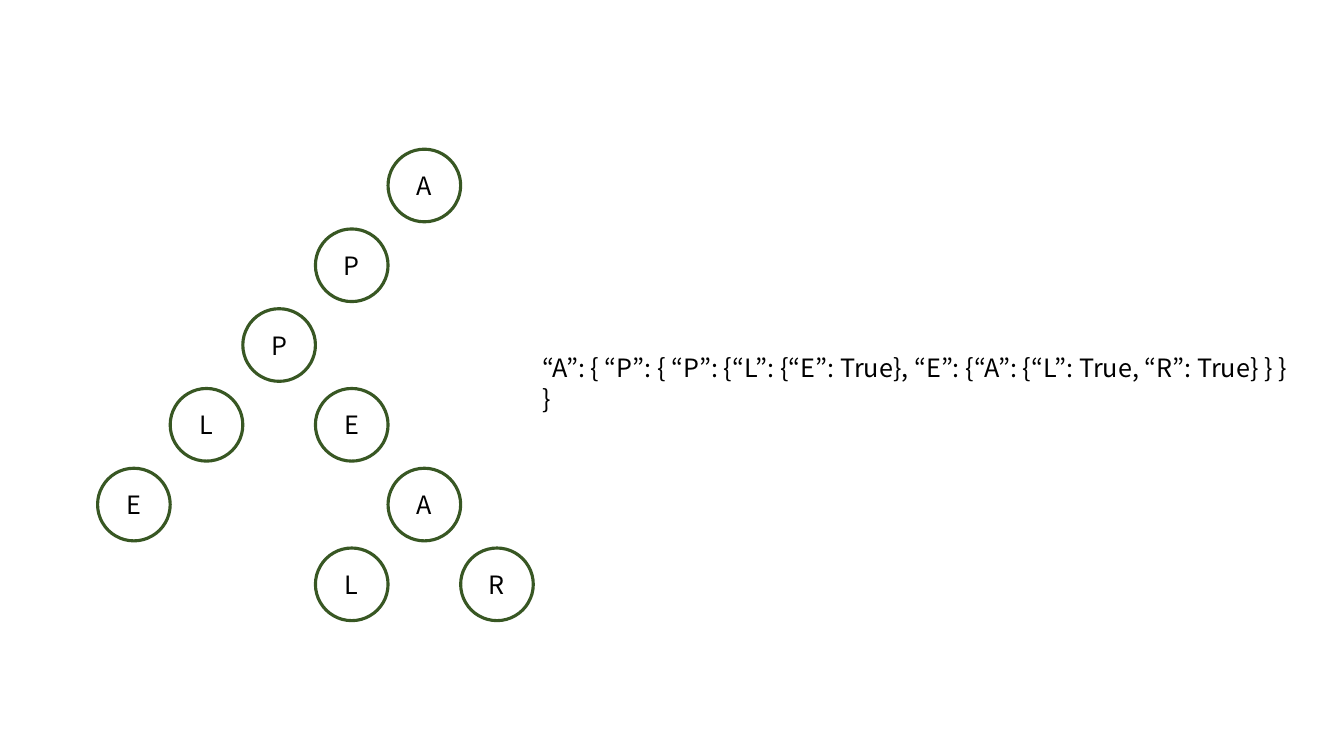
"""Draws a letter tree for a trie beside its nested dictionary notation."""
from dataclasses import dataclass

from pptx import Presentation
from pptx import util as u
from pptx.dml.color import RGBColor
from pptx.enum import shapes, text
from pptx.oxml import ns
from lxml import etree


@dataclass(frozen=True)
class Theme:
    font: str = "Noto Sans CJK KR"
    size: float = 18
    ink: str = "000000"
    outline: str = "385723"
    outline_width: float = 2.25


class Board:
    def __init__(self, slide, theme):
        self.slide = slide
        self.theme = theme

    def add_wording(self, frame, wording):
        run = frame.paragraphs[0].add_run()
        run.text = wording
        run.font.name = self.theme.font
        run.font.size = u.Pt(self.theme.size)
        run.font.color.rgb = RGBColor.from_string(self.theme.ink)
        east_asian = etree.SubElement(run.font._element, ns.qn("a:ea"))
        east_asian.set("typeface", self.theme.font)

    def node(self, letter, left, top, diameter):
        circle = self.slide.shapes.add_shape(
            shapes.MSO_SHAPE.OVAL, u.Cm(left), u.Cm(top), u.Cm(diameter), u.Cm(diameter))
        circle.shadow.inherit = False
        circle.fill.background()
        circle.line.color.rgb = RGBColor.from_string(self.theme.outline)
        circle.line.width = u.Pt(self.theme.outline_width)
        frame = circle.text_frame
        frame.vertical_anchor = text.MSO_ANCHOR.MIDDLE
        frame.paragraphs[0].alignment = text.PP_ALIGN.CENTER
        self.add_wording(frame, letter)

    def label(self, wording, left, top, width, height):
        box = self.slide.shapes.add_textbox(u.Cm(left), u.Cm(top), u.Cm(width), u.Cm(height))
        frame = box.text_frame
        frame.word_wrap = True
        frame.auto_size = text.MSO_AUTO_SIZE.SHAPE_TO_FIT_TEXT
        self.add_wording(frame, wording)


TREE_LEFT, TREE_TOP = 2.46, 3.76
DIAMETER = 1.83
ROW_STEP = 2.01
LETTERS = [
    ("A", 4, 0), ("P", 3, 1), ("P", 2, 2),
    ("L", 1, 3), ("E", 0, 4),
    ("E", 3, 3), ("A", 4, 4), ("L", 3, 5), ("R", 5, 5),
]
NOTATION = "“A”: { “P”: { “P”: {“L”: {“E”: True}, “E”: {“A”: {“L”: True, “R”: True} } } }"

deck = Presentation()
deck.slide_width, deck.slide_height = u.Cm(33.87), u.Cm(19.05)
board = Board(deck.slides.add_slide(deck.slide_layouts[6]), Theme())

for letter, column, row in LETTERS:
    board.node(letter, TREE_LEFT + column * DIAMETER, TREE_TOP + row * ROW_STEP, DIAMETER)
board.label(NOTATION, 13.41, 8.76, 19.38, 1.02)

deck.save("out.pptx")
